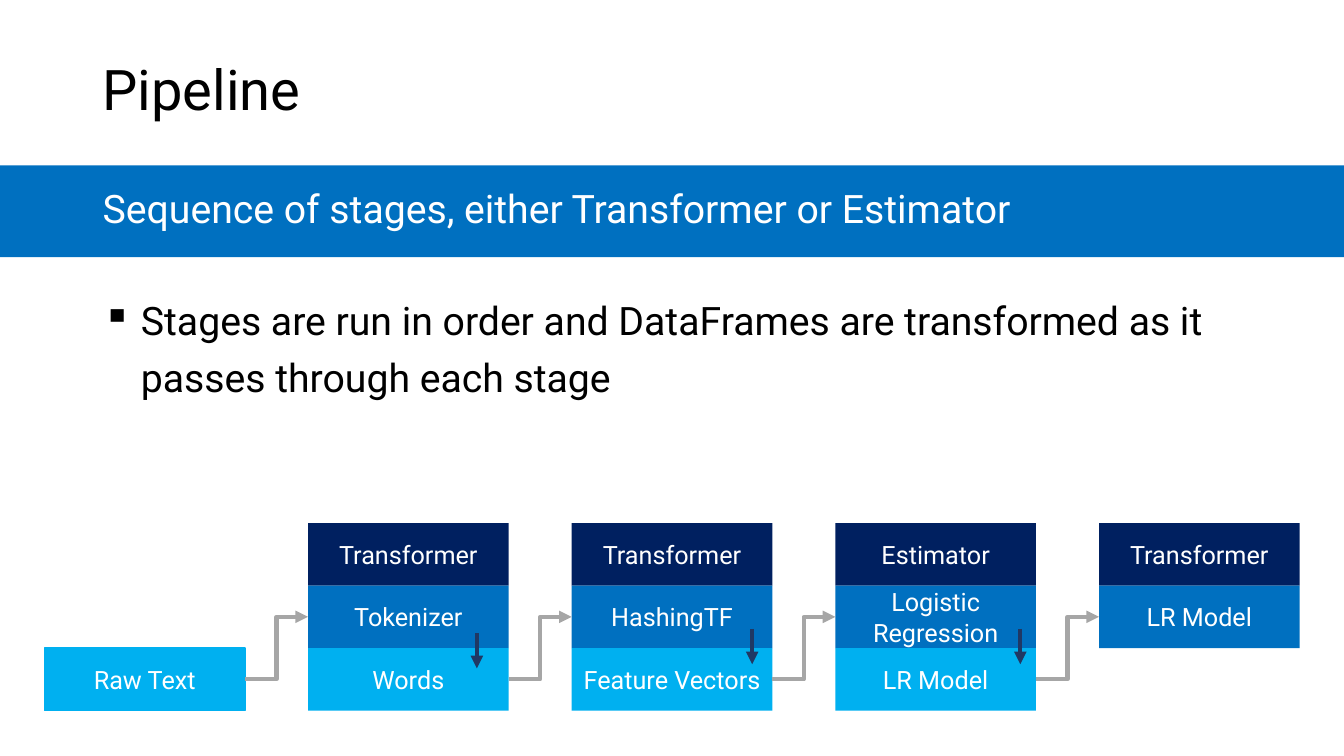
from lxml import etree
from pptx import Presentation
from pptx.dml.color import RGBColor
from pptx.enum import shapes, text
from pptx.oxml.ns import qn
from pptx.util import Inches, Pt

TITLE = "Pipeline"
SUBTITLE = "Sequence of stages, either Transformer or Estimator"
BULLET = ("Stages are run in order and DataFrames are transformed as it "
          "passes through each stage")
# One tuple per column: kind of stage, stage, output
STAGES = [
    (None, None, "Raw Text"),
    ("Transformer", "Tokenizer", "Words"),
    ("Transformer", "HashingTF", "Feature Vectors"),
    ("Estimator", "Logistic Regression", "LR Model"),
    ("Transformer", "LR Model", None),
]
OUTPUT_ARROWS = [(4.73, 6.28), (7.46, 6.24), (10.12, 6.24)]  # x, top

THEME = {
    "font": "Roboto",
    "title_size": 40, "body_size": 28, "cell_size": 18,
    "ink": "000000", "white": "FFFFFF", "band": "0070C0",
    "rows": ["002060", "0070C0", "00B0F0"],
    "flow": "A6A6A6", "output": "203864",
}

SLIDE_W, SLIDE_H = 13.33, 7.5
MARGIN = 0.92
BAND_TOP, BAND_H = 1.64, 0.91
GRID_LEFT, GRID_TOP = 0.44, 5.19
COL_STEP, CELL_W, CELL_H = 2.615, 1.99, 0.62
ARROW_LENGTH = 0.35


def rgb(name):
    return RGBColor.from_string(THEME.get(name, name))


def write(shape, content, size, color, anchor=text.MSO_ANCHOR.MIDDLE):
    """Set the shape's text and return its paragraph."""
    tf = shape.text_frame
    tf.word_wrap = True
    tf.vertical_anchor = anchor
    tf.text = content
    p = tf.paragraphs[0]
    font = p.runs[0].font
    font.name = THEME["font"]
    font.size = Pt(THEME[size])
    font.color.rgb = rgb(color)
    return p


def add_text(slide, box, *args, **kwargs):
    sp = slide.shapes.add_textbox(*map(Inches, box))
    return write(sp, *args, **kwargs)


def add_rect(slide, box, fill):
    sp = slide.shapes.add_shape(shapes.MSO_SHAPE.RECTANGLE, *map(Inches, box))
    sp.shadow.inherit = False
    sp.fill.solid()
    sp.fill.fore_color.rgb = rgb(fill)
    sp.line.fill.background()
    return sp


def add_arrow(slide, kind, start, end, color):
    line = slide.shapes.add_connector(kind, *map(Inches, start + end))
    line.line.color.rgb = rgb(color)
    line.line.width = Pt(3)
    etree.SubElement(line.line._get_or_add_ln(), qn("a:tailEnd"), type="triangle")
    etree.SubElement(line._element.spPr, qn("a:effectLst"))
    return line


def add_heading(slide):
    p = add_text(slide, (MARGIN, 0.19, 11.5, 1.45), TITLE, "title_size", "ink")
    p.line_spacing = 0.9
    add_rect(slide, (0, BAND_TOP, SLIDE_W, BAND_H), "band")
    p = add_text(slide, (MARGIN, BAND_TOP, 12.01, BAND_H), SUBTITLE,
                 "body_size", "white")
    p.line_spacing = 0.9


def add_bullet(slide):
    p = add_text(slide, (MARGIN, 2.8, 11.6, 1.18), BULLET, "body_size", "ink",
                 anchor=text.MSO_ANCHOR.TOP)
    p.line_spacing = 1.2
    p.space_after = Pt(6)
    pPr = p._p.get_or_add_pPr()
    indent = Inches(0.38)
    pPr.set("marL", str(indent))
    pPr.set("indent", str(-indent))
    etree.SubElement(pPr, qn("a:buChar"), char="▪")


def add_pipeline(slide):
    cells = {}
    for col, stage in enumerate(STAGES):
        for row, label in enumerate(stage):
            if label is None:
                continue
            box = (GRID_LEFT + col * COL_STEP, GRID_TOP + row * CELL_H,
                   CELL_W, CELL_H)
            sp = add_rect(slide, box, THEME["rows"][row])
            p = write(sp, label, "cell_size", "white")
            p.alignment = text.PP_ALIGN.CENTER
            cells[col, row] = sp

    source = cells[0, 2]
    source.line.color.rgb = rgb(THEME["rows"][2])
    source.line.width = Pt(1)

    for col in range(len(STAGES) - 1):
        flow = add_arrow(slide, shapes.MSO_CONNECTOR.ELBOW, (0, 0), (1, 1), "flow")
        flow.begin_connect(cells[col, 2], 3)
        flow.end_connect(cells[col + 1, 1], 1)

    for x, top in OUTPUT_ARROWS:
        add_arrow(slide, shapes.MSO_CONNECTOR.STRAIGHT, (x, top),
                  (x, top + ARROW_LENGTH), "output")


def main():
    prs = Presentation()
    prs.slide_width, prs.slide_height = Inches(SLIDE_W), Inches(SLIDE_H)
    slide = prs.slides.add_slide(prs.slide_layouts[6])
    add_heading(slide)
    add_bullet(slide)
    add_pipeline(slide)
    prs.save("out.pptx")


if __name__ == "__main__":
    main()
